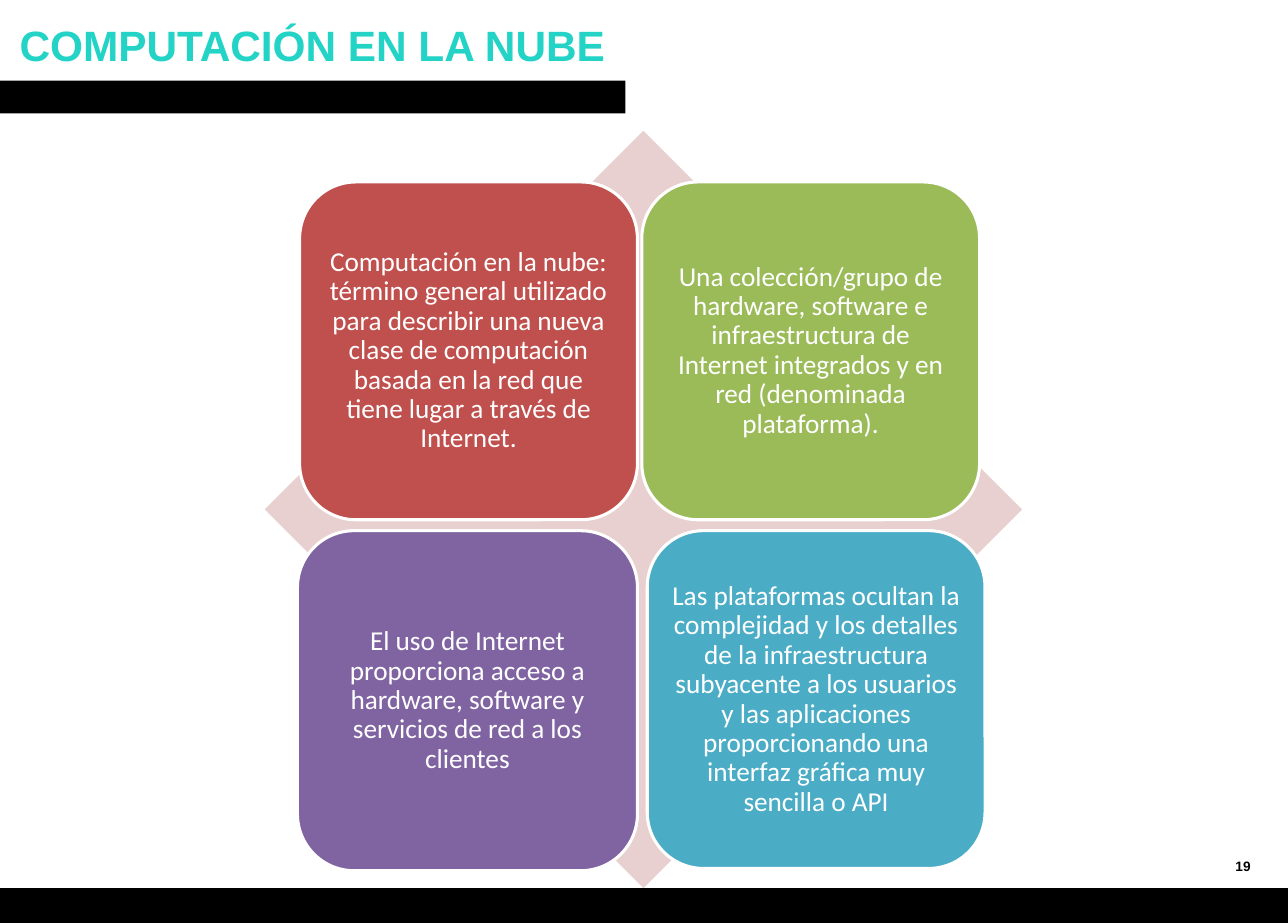
from pptx import Presentation
from pptx.dml.color import RGBColor
from pptx.enum.shapes import MSO_SHAPE
from pptx.enum.text import MSO_ANCHOR, PP_ALIGN
from pptx.util import Inches, Pt

BLACK = RGBColor(0x00, 0x00, 0x00)
WHITE = RGBColor(0xFF, 0xFF, 0xFF)
TEAL = RGBColor(0x22, 0xD3, 0xC6)
PINK = RGBColor(0xE8, 0xD0, 0xD0)
RED = RGBColor(0xC0, 0x50, 0x4D)
GREEN = RGBColor(0x9B, 0xBB, 0x59)
PURPLE = RGBColor(0x80, 0x64, 0xA2)
BLUE = RGBColor(0x4B, 0xAC, 0xC6)

WIDTH, HEIGHT = 11.82, 8.47
TITLE = "COMPUTACIÓN EN LA NUBE"
NUMBER = "19"
BARS = [(0, 8.15, WIDTH, 0.33), (0, 0.74, 5.74, 0.3)]
CARDS = [
    (2.75, 1.67, 3.1, RED, "Computación en la nube: término general utilizado para describir una nueva clase de computación basada en la red que tiene lugar a través de Internet."),
    (5.89, 1.67, 3.1, GREEN, "Una colección/grupo de hardware, software e infraestructura de Internet integrados y en red (denominada plataforma)."),
    (2.73, 4.87, 3.12, PURPLE, "El uso de Internet proporciona acceso a hardware, software y servicios de red a los clientes"),
    (5.94, 4.87, 3.1, BLUE, "Las plataformas ocultan la complejidad y los detalles de la infraestructura subyacente a los usuarios y las aplicaciones proporcionando una interfaz gráfica muy sencilla o API"),
]
HEAD_FONT = {"name": "Arial", "size": Pt(28), "bold": True}
PAGE_FONT = {"name": "Arial", "size": Pt(9), "bold": True}
CARD_FONT = {"name": "Calibri", "size": Pt(18), "bold": False}
PAD = Inches(0.07)
INSETS = {"margin_left": PAD, "margin_top": PAD, "margin_right": PAD, "margin_bottom": PAD}


def apply(target, values):
    """Set each named value on the target."""
    for name, value in values.items():
        setattr(target, name, value)


def write(shape, text, font, color, align=PP_ALIGN.LEFT):
    """Fill a shape with one formatted paragraph."""
    frame = shape.text_frame
    frame.text = text
    apply(frame, {"word_wrap": True, "vertical_anchor": MSO_ANCHOR.MIDDLE})
    para = frame.paragraphs[0]
    para.alignment = align
    apply(para.font, font)
    para.font.color.rgb = color
    return frame


def draw(slide, kind, box, color):
    """Add a flat filled shape without an outline."""
    shape = slide.shapes.add_shape(kind, *map(Inches, box))
    shape.shadow.inherit = False
    shape.fill.solid()
    shape.fill.fore_color.rgb = color
    shape.line.fill.background()
    return shape


def main():
    """Build the slide and save it."""
    deck = Presentation()
    apply(deck, {"slide_width": Inches(WIDTH), "slide_height": Inches(HEIGHT)})
    slide = deck.slides.add_slide(deck.slide_layouts[5])

    title = slide.shapes.title
    apply(title, {"left": Inches(0.08), "top": Inches(0.07),
                  "width": Inches(9.58), "height": Inches(0.67)})
    write(title, TITLE, HEAD_FONT, TEAL)

    for bar in BARS:
        draw(slide, MSO_SHAPE.RECTANGLE, bar, BLACK)
    page = slide.shapes.add_textbox(*map(Inches, (11.24, 7.75, 0.46, 0.4)))
    write(page, NUMBER, PAGE_FONT, BLACK)

    draw(slide, MSO_SHAPE.DIAMOND, (2.43, 1.2, 6.95, 6.95), PINK)
    for left, top, side, color, text in CARDS:
        card = draw(slide, MSO_SHAPE.ROUNDED_RECTANGLE, (left, top, side, side), color)
        card.line.color.rgb = WHITE
        card.line.width = Pt(2)
        frame = write(card, text, CARD_FONT, WHITE, PP_ALIGN.CENTER)
        apply(frame, INSETS)
        frame.paragraphs[0].line_spacing = 0.9

    deck.save("out.pptx")


if __name__ == "__main__":
    main()
